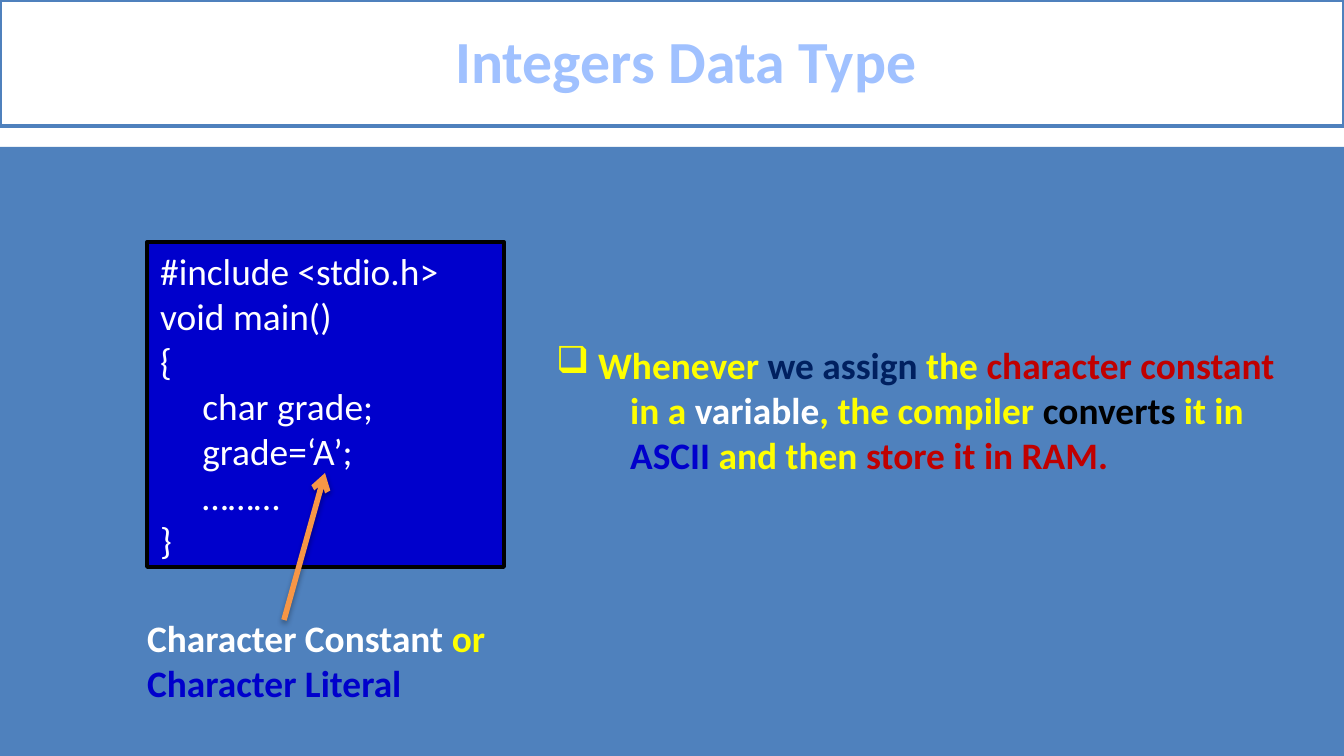
from dataclasses import dataclass

from lxml.etree import SubElement
from pptx import Presentation
from pptx.dml.color import RGBColor
from pptx.enum.shapes import MSO_CONNECTOR, MSO_SHAPE
from pptx.enum.text import MSO_ANCHOR, MSO_AUTO_SIZE, PP_ALIGN
from pptx.oxml.ns import qn
from pptx.util import Pt

EMU_PER_PX = 914400 / 134.4


def px(length):
    return round(length * EMU_PER_PX)


@dataclass(frozen=True)
class Theme:
    font: str = "Calibri"
    title_size: int = 32
    body_size: int = 20
    title: str = "A0C1FF"
    panel: str = "4F81BD"
    blue: str = "0000CC"
    navy: str = "002060"
    red: str = "C00000"
    yellow: str = "FFFF00"
    orange: str = "F79646"
    white: str = "FFFFFF"
    black: str = "000000"


class SlideBuilder:
    def __init__(self, slide, theme):
        self.slide = slide
        self.theme = theme

    def paint(self, shape, fill, line=None):
        shape.fill.solid()
        shape.fill.fore_color.rgb = RGBColor.from_string(fill)
        if line:
            shape.line.color.rgb = RGBColor.from_string(line)
            shape.line.width = Pt(2)
        else:
            shape.line.fill.background()

    def add_run(self, paragraph, text, color, size, bold):
        run = paragraph.add_run()
        run.text = text
        run.font.name = self.theme.font
        run.font.size = Pt(size)
        run.font.bold = bold
        run.font.color.rgb = RGBColor.from_string(color)

    def indent(self, paragraph, margin, first_line=0, bullet=None):
        properties = paragraph._p.get_or_add_pPr()
        properties.set("marL", str(px(margin)))
        properties.set("indent", str(px(first_line)))
        if bullet:
            SubElement(properties, qn("a:buChar"), char=bullet)

    def title(self, text, left, top, width, height):
        shape = self.slide.shapes.title
        shape.left, shape.top, shape.width, shape.height = map(px, (left, top, width, height))
        self.paint(shape, self.theme.white, self.theme.panel)
        shape.text_frame.vertical_anchor = MSO_ANCHOR.MIDDLE
        paragraph = shape.text_frame.paragraphs[0]
        self.indent(paragraph, 28)
        paragraph.alignment = PP_ALIGN.CENTER
        paragraph.line_spacing = 0.96
        self.add_run(paragraph, text, self.theme.title, self.theme.title_size, True)

    def rectangle(self, left, top, width, height, fill, line=None):
        shape = self.slide.shapes.add_shape(
            MSO_SHAPE.RECTANGLE, *map(px, (left, top, width, height)))
        shape.shadow.inherit = False
        self.paint(shape, fill, line)

    def text(self, left, top, width, height, lines, bold=True, indents=None):
        """Each line is a list of (text, color) runs; indents are indent() arguments."""
        box = self.slide.shapes.add_textbox(*map(px, (left, top, width, height)))
        frame = box.text_frame
        frame.word_wrap = True
        frame.auto_size = MSO_AUTO_SIZE.SHAPE_TO_FIT_TEXT
        for index, runs in enumerate(lines):
            paragraph = frame.add_paragraph() if index else frame.paragraphs[0]
            if indents:
                self.indent(paragraph, *indents[index])
            for words, color in runs:
                self.add_run(paragraph, words, color, self.theme.body_size, bold)

    def arrow(self, start, end, color):
        connector = self.slide.shapes.add_connector(
            MSO_CONNECTOR.STRAIGHT, *map(px, (*start, *end)))
        connector.line.color.rgb = RGBColor.from_string(color)
        connector.line.width = Pt(3)
        SubElement(connector.line._get_or_add_ln(), qn("a:tailEnd"), type="arrow")
        # Soft shadow straight below the line
        effects = SubElement(connector._element.spPr, qn("a:effectLst"))
        shadow = SubElement(effects, qn("a:outerShdw"), blurRad=str(Pt(3.1)),
                            dist=str(Pt(1.8)), dir="5400000", rotWithShape="0")
        shade = SubElement(shadow, qn("a:srgbClr"), val=self.theme.black)
        SubElement(shade, qn("a:alpha"), val="35000")


def main():
    presentation = Presentation()
    presentation.slide_width = px(1344)
    presentation.slide_height = px(756)
    theme = Theme()
    slide = presentation.slides.add_slide(presentation.slide_layouts[5])
    builder = SlideBuilder(slide, theme)

    # Title band and blue panel
    builder.rectangle(0, 147, 1344, 609, theme.panel)
    builder.title("Integers Data Type", 0, 0, 1344, 126)

    # Code listing
    code = [
        "#include <stdio.h>",
        "void main()",
        "{",
        "     char grade;",
        "     grade=‘A’;",
        "     ………",
        "}",
    ]
    builder.rectangle(147, 242, 357, 325, theme.blue, theme.black)
    builder.text(147, 242, 336, 331, [[(line, theme.white)] for line in code], bold=False)

    # Arrow from the caption to the constant
    builder.arrow((284, 620), (325, 473), theme.orange)
    builder.text(0, 609, 1344, 103, [
        [("Character Constant ", theme.white), ("or", theme.yellow)],
        [("Character Literal", theme.blue)],
    ], indents=[(134,), (134,)])

    # Explanation
    builder.text(441, 336, 903, 149, [
        [("Whenever ", theme.yellow), ("we assign ", theme.navy),
         ("the ", theme.yellow), ("character constant", theme.red)],
        [("in a ", theme.yellow), ("variable", theme.white),
         (", the compiler ", theme.yellow), ("converts", theme.black),
         (" it in", theme.yellow)],
        [("ASCII", theme.blue), (" and then ", theme.yellow),
         ("store it in RAM.", theme.red)],
    ], indents=[(144, -42, "❑"), (176,), (176,)])

    presentation.save("out.pptx")


if __name__ == "__main__":
    main()
